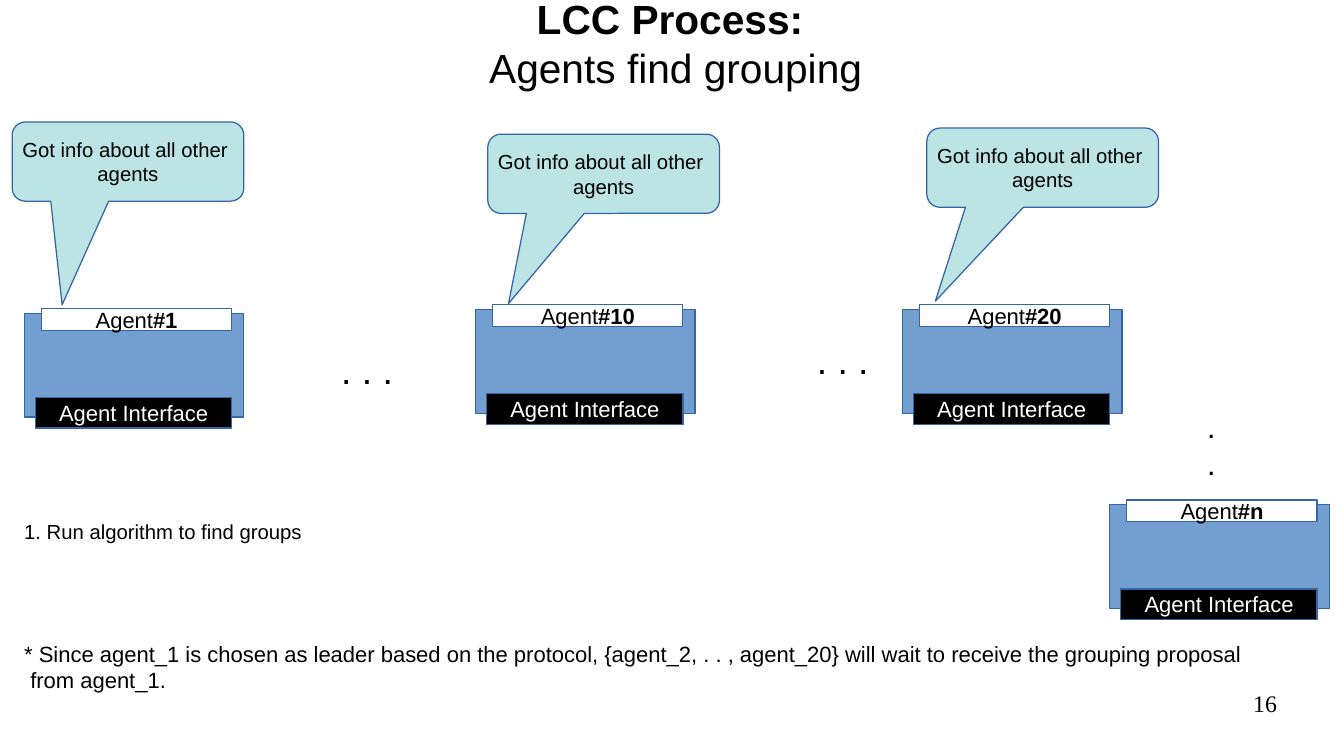
from dataclasses import dataclass
from typing import NamedTuple

from pptx import Presentation
from pptx.dml.color import RGBColor
from pptx.enum.shapes import MSO_SHAPE
from pptx.enum.text import MSO_ANCHOR, MSO_AUTO_SIZE, PP_ALIGN
from pptx.util import Inches, Pt


@dataclass(frozen=True)
class Theme:
    black: str = "000000"
    white: str = "FFFFFF"
    body: str = "729FCF"
    bubble: str = "BCE4E5"
    outline: str = "3465A4"
    font: str = "Arial"
    number_font: str = "Times New Roman"
    title: int = 24
    dots: int = 22
    column_dots: int = 18
    number: int = 14
    label: int = 13
    note: int = 12


class Box(NamedTuple):
    """Left, top, width and height in grid columns and rows."""
    x: float
    y: float
    w: float
    h: float


class Run(NamedTuple):
    text: str
    bold: bool = False


class Agent(NamedTuple):
    name: str
    x: float
    y: float


class Bubble(NamedTuple):
    x: float
    y: float
    tip_x: float
    tip_y: float


class Note(NamedTuple):
    lines: list
    box: Box
    size: int
    wrap: bool = False


T = Theme()
CELL = Inches(0.1)  # one grid column or row
Line = list[Run]


def place(sp, box: Box) -> None:
    for name, value in zip(("left", "top", "width", "height"), box):
        setattr(sp, name, round(value * CELL))


def write(sp, lines: list[Line], size: int, color: str = T.black,
          font: str = T.font, align=PP_ALIGN.CENTER, **frame) -> None:
    tf = sp.text_frame
    frame = {"vertical_anchor": MSO_ANCHOR.MIDDLE, "word_wrap": False} | frame
    for name, value in frame.items():
        setattr(tf, name, value)
    p = tf.paragraphs[0]
    p.alignment = align
    for i, line in enumerate(lines):
        if i:
            p.add_line_break()
        for run in line:
            r = p.add_run()
            r.text = run.text
            style = {"name": font, "size": Pt(size), "bold": run.bold}
            for name, value in style.items():
                setattr(r.font, name, value)
            r.font.color.rgb = RGBColor.from_string(color)


def add_shape(s, kind, box: Box, fill: str):
    sp = s.shapes.add_shape(kind, 0, 0, CELL, CELL)
    place(sp, box)
    sp.shadow.inherit = False
    sp.fill.solid()
    sp.fill.fore_color.rgb = RGBColor.from_string(fill)
    sp.line.color.rgb = RGBColor.from_string(T.outline)
    sp.line.width = Pt(0)
    return sp


def add_text(s, box: Box, lines: list[Line], size: int, **options) -> None:
    sp = s.shapes.add_textbox(0, 0, CELL, CELL)
    place(sp, box)
    write(sp, lines, size, **({"vertical_anchor": MSO_ANCHOR.TOP} | options))


def add_agent(s, agent: Agent) -> None:
    x, y = agent.x, agent.y
    add_shape(s, MSO_SHAPE.RECTANGLE, Box(x, y, 18, 8.5), T.body)
    tag = add_shape(s, MSO_SHAPE.RECTANGLE, Box(x + 1.4, y - 0.4, 15.6, 1.8), T.white)
    write(tag, [[Run("Agent"), Run(agent.name, True)]], T.label)
    port = add_shape(s, MSO_SHAPE.RECTANGLE, Box(x + 0.9, y + 6.9, 16.1, 2.5), T.black)
    write(port, [[Run("Agent Interface")]], T.label, T.white)


def add_bubble(s, bubble: Bubble) -> None:
    box = Box(bubble.x, bubble.y, 19, 6.5)
    sp = add_shape(s, MSO_SHAPE.ROUNDED_RECTANGULAR_CALLOUT, box, T.bubble)
    # The tip is set as a share of the box, measured from its centre
    sp.adjustments[0] = (bubble.tip_x - box.x) / box.w - 0.5
    sp.adjustments[1] = (bubble.tip_y - box.y) / box.h - 0.5
    write(sp, [[Run("Got info about all other ")], [Run("agents")]], T.note)


AGENTS = [Agent("#1", 2, 25.7), Agent("#10", 39, 25.4),
          Agent("#20", 74, 25.4), Agent("#n", 91, 41.4)]
BUBBLES = [Bubble(1, 10, 5.1, 25), Bubble(40, 11, 41.7, 24.9),
           Bubble(76, 10.5, 76.7, 24.7)]
NOTES = [
    Note([[Run(". . .")]], Box(27, 28, 7, 5.8), T.dots, True),
    Note([[Run(". . .")]], Box(66, 27.2, 7, 5.8), T.dots, True),
    Note([[Run(".")], [Run(".")]], Box(98, 33, 2.7, 6.6), T.column_dots),
    Note([[Run("1. Run algorithm to find groups")]],
         Box(1, 42.1, 24.9, 2.9), T.note),
    Note([[Run("* Since agent_1 is chosen as leader based on the protocol, "
               "{agent_2, . . , agent_20} will wait to receive the grouping proposal")],
          [Run(" from agent_1. ")]], Box(1, 52, 106.2, 5), T.label),
]
NO_MARGINS = {f"margin_{side}": 0 for side in ("left", "top", "right", "bottom")}

prs = Presentation()
prs.slide_width, prs.slide_height = Inches(11.02), Inches(6.2)
s = prs.slides.add_slide(prs.slide_layouts[5])

# Title
place(s.shapes.title, Box(5.8, -0.2, 99.2, 7.4))
write(s.shapes.title, [[Run("LCC Process: ", True)], [Run("Agents find grouping")]],
      T.title, word_wrap=True, auto_size=MSO_AUTO_SIZE.NONE, **NO_MARGINS)

# Speech bubbles and agents
for bubble in BUBBLES:
    add_bubble(s, bubble)
for agent in AGENTS:
    add_agent(s, agent)

# Dots, step and footnote
for note in NOTES:
    add_text(s, note.box, note.lines, note.size, align=PP_ALIGN.LEFT,
             word_wrap=note.wrap, auto_size=MSO_AUTO_SIZE.SHAPE_TO_FIT_TEXT)

# Slide number
add_text(s, Box(79, 56.5, 25.7, 4.3), [[Run("16")]], T.number, font=T.number_font,
         align=PP_ALIGN.RIGHT, word_wrap=True, **NO_MARGINS)

prs.save("out.pptx")
